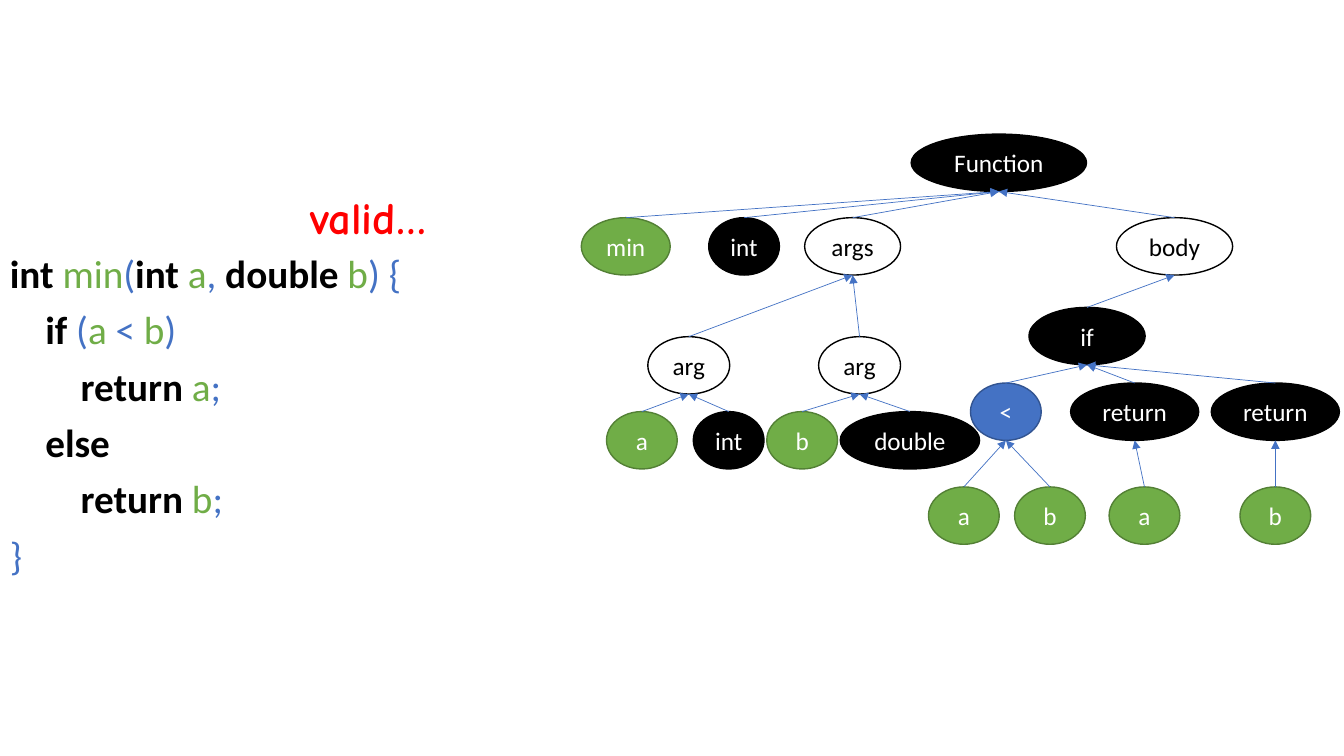
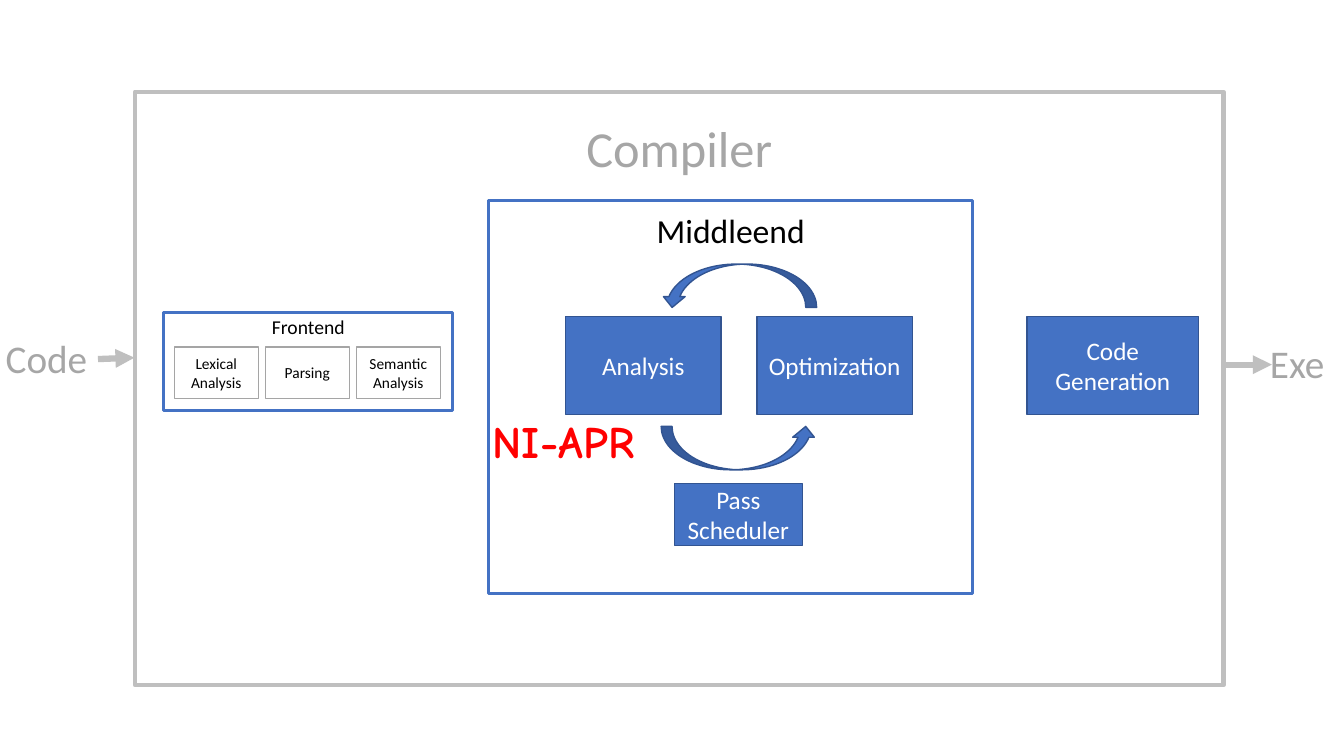
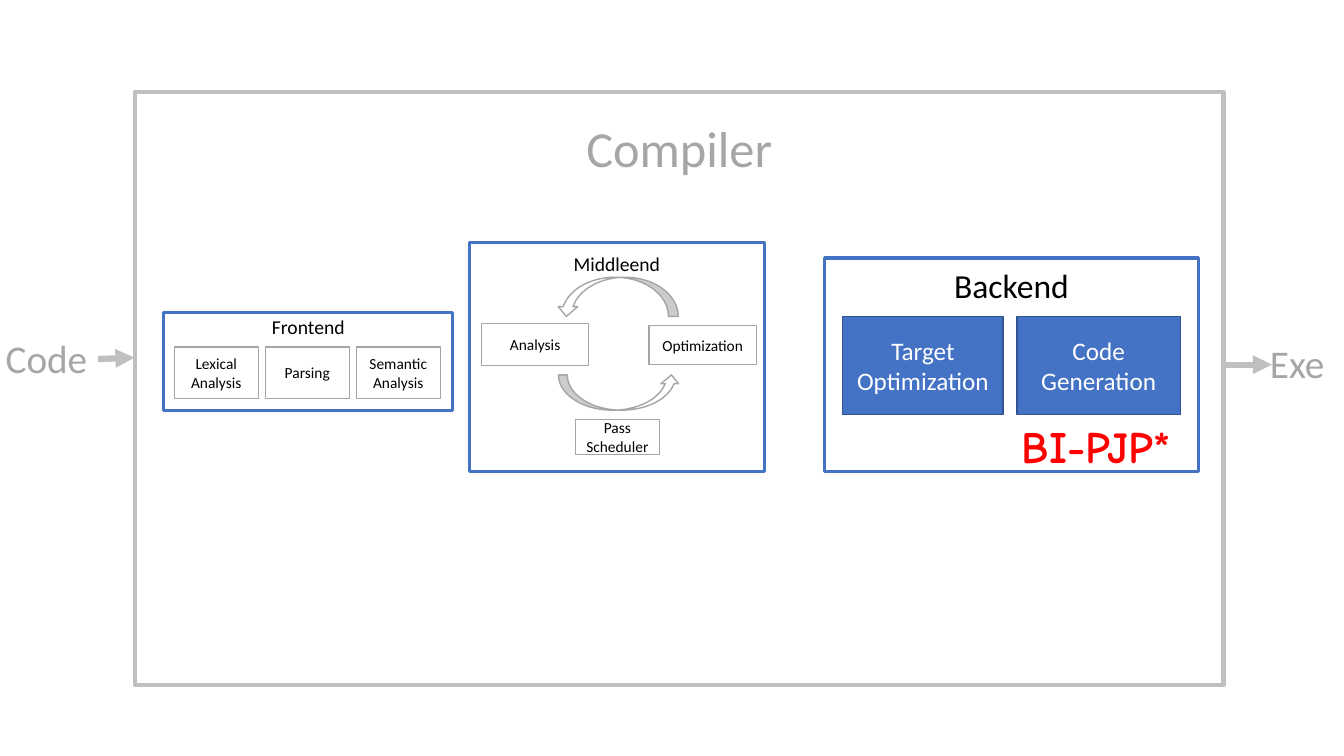
import pptx
import pptx.dml.color
import pptx.enum.shapes
import pptx.enum.text
import pptx.oxml.ns
import pptx.util
from lxml import etree

Pt = pptx.util.Pt
RGBColor = pptx.dml.color.RGBColor
Preset = pptx.enum.shapes.MSO_SHAPE
Align = pptx.enum.text.PP_ALIGN
Anchor = pptx.enum.text.MSO_ANCHOR
AutoSize = pptx.enum.text.MSO_AUTO_SIZE
qn = pptx.oxml.ns.qn

BLACK = RGBColor(0x00, 0x00, 0x00)
WHITE = RGBColor(0xFF, 0xFF, 0xFF)
RED = RGBColor(0xFF, 0x00, 0x00)
GREEN = RGBColor(0x70, 0xAD, 0x47)
DARK_GREEN = RGBColor(0x53, 0x80, 0x35)
BLUE = RGBColor(0x44, 0x72, 0xC4)
DARK_BLUE = RGBColor(0x32, 0x54, 0x91)
FRAME_GREY = RGBColor(0xBF, 0xBF, 0xBF)
TEXT_GREY = RGBColor(0xA6, 0xA6, 0xA6)
EDGE_GREY = RGBColor(0xA5, 0xA5, 0xA5)

# Looks: fill, line, line width, text colour
LOOKS = {
    "keyword": (BLACK, BLACK, 1, WHITE),
    "name": (GREEN, DARK_GREEN, 1, WHITE),
    "operator": (BLUE, DARK_BLUE, 1, WHITE),
    "group": (WHITE, BLACK, 1, BLACK),
    "active": (BLUE, DARK_BLUE, 1, WHITE),
    "done": (WHITE, EDGE_GREY, 1, BLACK),
    "stage": (None, BLUE, 2.25, BLACK),
    "compiler": (WHITE, FRAME_GREY, 3, TEXT_GREY),
}
CODE_FONTS = {
    "k": {"color": BLACK, "bold": True},
    "n": {"color": GREEN, "bold": False},
    "p": {"color": BLUE, "bold": False},
}


def assign(target, values):
    for name, value in values.items():
        setattr(target, name, value)


class Painter:
    """Holds the deck, its style and the current slide."""

    body_font = "Calibri"
    note_font = "Comic Neue"

    def __init__(self):
        self.deck = pptx.Presentation()
        assign(self.deck, {"slide_width": Pt(960), "slide_height": Pt(540)})
        self.page = None

    def new_page(self):
        self.page = self.deck.slides.add_slide(self.deck.slide_layouts[6])

    def span(self, para, text, size, color, bold=False, font=None):
        piece = para.add_run()
        piece.text = text
        assign(piece.font, {"name": font or self.body_font, "size": Pt(size), "bold": bold})
        piece.font.color.rgb = color

    def shape(self, preset, look, area, text="", size=18, title_inset=None):
        fill, line, width, color = LOOKS[look]
        box = self.page.shapes.add_shape(preset, *map(Pt, area))
        box.shadow.inherit = False
        if fill is None:
            box.fill.background()
        else:
            box.fill.solid()
            box.fill.fore_color.rgb = fill
        box.line.color.rgb = line
        box.line.width = Pt(width)
        frame = box.text_frame
        frame.word_wrap = True
        if title_inset is None:
            frame.vertical_anchor = Anchor.MIDDLE
        else:
            assign(frame, {"vertical_anchor": Anchor.TOP, "margin_top": Pt(title_inset)})
        for index, line_text in enumerate(text.split("\n") if text else []):
            para = frame.add_paragraph() if index else frame.paragraphs[0]
            para.alignment = Align.CENTER
            self.span(para, line_text, size, color)
        return box

    def block(self, look, area, text, size, title_inset=None):
        self.shape(Preset.RECTANGLE, look, area, text, size, title_inset)

    def curve(self, look, area, rotation=0):
        self.shape(Preset.CURVED_UP_ARROW, look, area).rotation = rotation

    def arrow(self, start, end, color, width):
        straight = pptx.enum.shapes.MSO_CONNECTOR.STRAIGHT
        link = self.page.shapes.add_connector(straight, *map(Pt, (*start, *end)))
        link.line.color.rgb = color
        link.line.width = Pt(width)
        etree.SubElement(link.line._get_or_add_ln(), qn("a:tailEnd"), type="triangle")
        etree.SubElement(link._element.spPr, qn("a:effectLst"))

    def text_box(self, area, wrap=True):
        frame = self.page.shapes.add_textbox(*map(Pt, area)).text_frame
        frame.word_wrap = wrap
        return frame

    def label(self, area, text):
        frame = self.text_box(area, wrap=False)
        frame.auto_size = AutoSize.SHAPE_TO_FIT_TEXT
        self.span(frame.paragraphs[0], text, 28, TEXT_GREY)

    def note(self, left, top, width, text):
        para = self.text_box((left, top, width, 58.3)).paragraphs[0]
        assign(para, {"line_spacing": 0.9, "space_before": Pt(10)})
        self.span(para, text, 32, RED, True, self.note_font)

    def code(self, area, lines, top_inset, indent):
        frame = self.text_box(area)
        frame.margin_top = Pt(top_inset)
        for index, (level, pieces) in enumerate(lines):
            para = frame.add_paragraph() if index else frame.paragraphs[0]
            assign(para, {"line_spacing": 0.9, "space_before": Pt(10)})
            para._p.get_or_add_pPr().set("marL", str(Pt(level * indent)))
            for kind, text in pieces:
                self.span(para, text, 28, **CODE_FONTS[kind])

    def tree(self, nodes, height):
        for text, look, center, top, width, parent in nodes:
            area = (center - width / 2, top, width, height)
            self.shape(Preset.OVAL, look, area, text)
        for text, look, center, top, width, parent in nodes:
            if parent is not None:
                end = (nodes[parent][2], nodes[parent][3] + height)
                self.arrow((center, top), end, BLUE, 0.5)

    # Parts shared by the compiler slides
    def compiler(self):
        self.new_page()
        self.block("compiler", (96.5, 65.5, 777.5, 424), "Compiler", 36, 18)
        self.arrow((70, 256.5), (96, 255.5), FRAME_GREY, 4.5)
        self.arrow((874, 260.5), (908.5, 260.5), FRAME_GREY, 4.5)
        self.label((-3, 235.5, 73.5, 41), "Code")
        self.label((900, 238.5, 54, 41), "Exe")
        self.block("stage", (117, 223.2, 206.5, 70), "Frontend", 14, 1.5)
        for index, text in enumerate(("Lexical Analysis", "Parsing", "Semantic Analysis")):
            self.block("done", (124.5 + 65 * index, 248, 60, 36.5), text, 11)


painter = Painter()

# Slide 1: source code and its syntax tree
painter.new_page()
painter.code((0, 137.5, 396, 342.7), [
    (0, [("k", "int "), ("n", "min"), ("p", "("), ("k", "int "), ("n", "a"),
         ("p", ", "), ("k", "double "), ("n", "b"), ("p", ") {")]),
    (1, [("k", "if "), ("p", "("), ("n", "a "), ("p", "< "), ("n", "b"), ("p", ")")]),
    (2, [("k", "return "), ("n", "a"), ("p", ";")]),
    (1, [("k", "else")]),
    (2, [("k", "return "), ("n", "b"), ("p", ";")]),
    (0, [("p", "}")]),
], top_inset=44.3, indent=25.3)
# Each node: text, look, center, top, width, index of the parent
painter.tree([
    ("Function", "keyword", 713.5, 95.8, 125.3, None),
    ("min", "name", 447, 155.5, 63.5, 0),
    ("int", "keyword", 531.5, 155.5, 50.5, 0),
    ("args", "group", 609, 155.5, 68.5, 0),
    ("body", "group", 839, 155.5, 83, 0),
    ("arg", "group", 492, 240.5, 58.5, 3),
    ("arg", "group", 614, 240.5, 58.5, 3),
    ("a", "name", 458.5, 294, 50.5, 5),
    ("int", "keyword", 520.5, 294, 50.5, 5),
    ("b", "name", 573, 294, 50.5, 6),
    ("double", "keyword", 650, 294, 99.5, 6),
    ("if", "keyword", 776.5, 219.6, 83, 4),
    ("<", "operator", 718.5, 273.6, 50.5, 11),
    ("return", "keyword", 810.5, 273.6, 91.5, 11),
    ("return", "keyword", 911, 273.6, 91.5, 11),
    ("a", "name", 688.5, 347.8, 50.5, 12),
    ("b", "name", 750, 347.8, 50.5, 12),
    ("a", "name", 817.5, 347.8, 50.5, 13),
    ("b", "name", 911, 347.8, 50.5, 14),
], height=41)
painter.note(214.5, 136, 278.6, "valid…")

# Slide 2: the middle end
painter.compiler()
painter.block("stage", (349.2, 143.3, 345.6, 280.8), "Middleend", 24, 7)
for left, width, text in ((404, 111, "Analysis"), (540.7, 111, "Optimization"),
                          (733.7, 122.4, "Code Generation")):
    painter.block("active", (left, 226, width, 70), text, 18)
painter.block("active", (481.7, 345.6, 91.5, 44), "Pass Scheduler", 18)
painter.curve("active", (472.3, 304.6, 111, 31))
painter.curve("active", (472.3, 188.6, 111, 31), 180)
painter.note(344.9, 296, 173.5, "NI-APR")

# Slide 3: the back end
painter.compiler()
painter.block("stage", (335.5, 173.5, 210.3, 163.5), "Middleend", 14, 6.5)
for area, text in (((344, 231, 76.5, 30.3), "Analysis"),
                   ((463.7, 232.5, 76.5, 28), "Optimization"),
                   ((411, 299.5, 60, 25.2), "Pass Scheduler")):
    painter.block("done", area, text, 11)
painter.curve("done", (397.5, 198, 87, 28), 180)
painter.curve("done", (398.9, 267.8, 87, 25.2))
painter.block("stage", (589, 184.3, 267, 152.7), "Backend", 24, 5)
for left, width, text in ((602, 114.5, "Target\nOptimization"),
                          (726.5, 116.6, "Code Generation")):
    painter.block("active", (left, 226, width, 70), text, 18)
painter.note(722.9, 299.5, 173.5, "BI-PJP*")

painter.deck.save("out.pptx")
